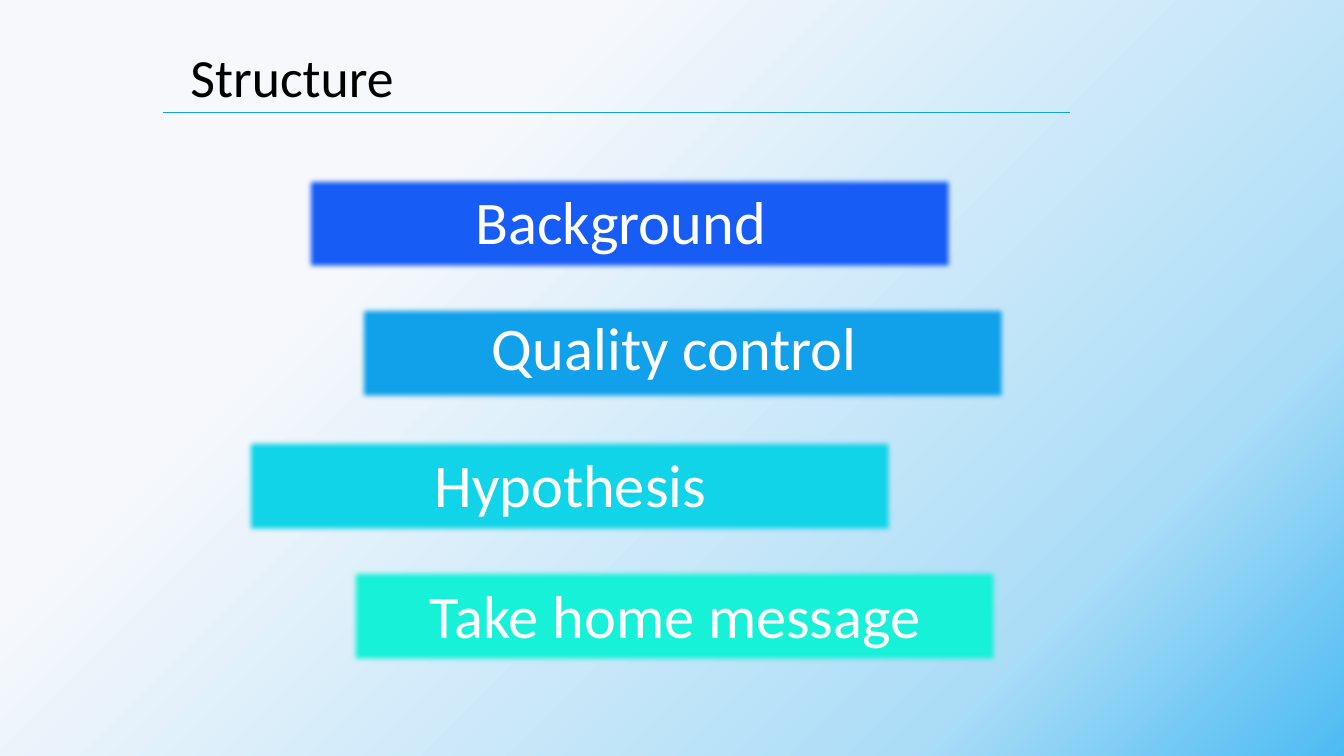
"""Builds the Structure slide: a title over four staggered soft-edged bars."""
import pptx
import pptx.dml.color
import pptx.enum.shapes
import pptx.enum.text
import pptx.oxml
import pptx.oxml.ns
import pptx.util

Cm = pptx.util.Cm

TITLE = "Structure"
TITLE_BOX = (4.55, 0.99, 23.95, 1.9)
RULE = (4.11, 2.82, 26.97, 2.82)
RULE_FORMAT = {"color": "10A1EA", "width": 0.5}
BACKGROUND_STOPS = [(29, "F6F8FC"), (79, "ACDDF7"), (100, "4DBBF3")]
BAR_SIZE = (16.43, 2.49)
LABEL_SIZE = (19.25, 2.11)
SECTIONS = [
    ("Background", "175CF5", (7.65, 4.39), (6.02, 4.52)),
    ("Quality control", "10A1EA", (8.99, 7.65), (7.37, 7.7)),
    ("Hypothesis", "12D4E8", (6.15, 11), (4.75, 11.15)),
    ("Take home message", "17F1D7", (8.79, 14.27), (7.39, 14.45)),
]
SOFT_EDGE = pptx.util.Pt(5)
TITLE_FORMAT = {"name": "Calibri", "size": pptx.util.Pt(38.4)}
LABEL_FORMAT = {"name": "Calibri", "size": pptx.util.Pt(43.2)}


def color(value):
    return pptx.dml.color.RGBColor.from_string(value)


def lengths(values):
    return [Cm(value) for value in values]


def element(markup):
    return pptx.oxml.parse_xml(
        markup.replace(">", " " + pptx.oxml.ns.nsdecls("a") + ">", 1))


def paint_background(page):
    fill = page.background.fill
    fill.gradient()
    fill.gradient_angle = 315
    stops = "".join(
        f'<a:gs pos="{place * 1000}"><a:srgbClr val="{value}"/></a:gs>'
        for place, value in BACKGROUND_STOPS)
    old = page.element.xpath(".//p:bgPr//a:gsLst")[0]
    old.getparent().replace(old, element(f"<a:gsLst>{stops}</a:gsLst>"))


def add_rule(page):
    rule = page.shapes.add_connector(
        pptx.enum.shapes.MSO_CONNECTOR.STRAIGHT, *lengths(RULE))
    rule.line.color.rgb = color(RULE_FORMAT["color"])
    rule.line.width = pptx.util.Pt(RULE_FORMAT["width"])
    rule.element.spPr.append(element("<a:effectLst></a:effectLst>"))


def add_text(page, text, place, ink, style, alignment):
    box = page.shapes.add_textbox(*lengths(place))
    box.text_frame.word_wrap = True
    box.text_frame.auto_size = pptx.enum.text.MSO_AUTO_SIZE.SHAPE_TO_FIT_TEXT
    para = box.text_frame.paragraphs[0]
    para.alignment = alignment
    span = para.add_run()
    span.text = text
    for name, value in style.items():
        setattr(span.font, name, value)
    span.font.color.rgb = color(ink)


def add_bar(page, place, value):
    bar = page.shapes.add_shape(
        pptx.enum.shapes.MSO_SHAPE.RECTANGLE, *lengths(place))
    bar.fill.solid()
    bar.fill.fore_color.rgb = color(value)
    bar.line.fill.background()
    bar.shadow.inherit = False
    effects = bar.element.spPr.find(pptx.oxml.ns.qn("a:effectLst"))
    effects.append(element(f'<a:softEdge rad="{SOFT_EDGE}"></a:softEdge>'))


def main():
    deck = pptx.Presentation()
    deck.slide_width, deck.slide_height = Cm(33.87), Cm(19.05)
    page = deck.slides.add_slide(deck.slide_layouts[6])
    align = pptx.enum.text.PP_ALIGN
    paint_background(page)
    add_rule(page)
    add_text(page, TITLE, TITLE_BOX, "000000", TITLE_FORMAT, align.LEFT)
    for text, value, bar_corner, label_corner in SECTIONS:
        add_bar(page, bar_corner + BAR_SIZE, value)
        add_text(page, text, label_corner + LABEL_SIZE, "FFFFFF",
                 LABEL_FORMAT, align.CENTER)
    deck.save("out.pptx")


if __name__ == "__main__":
    main()
